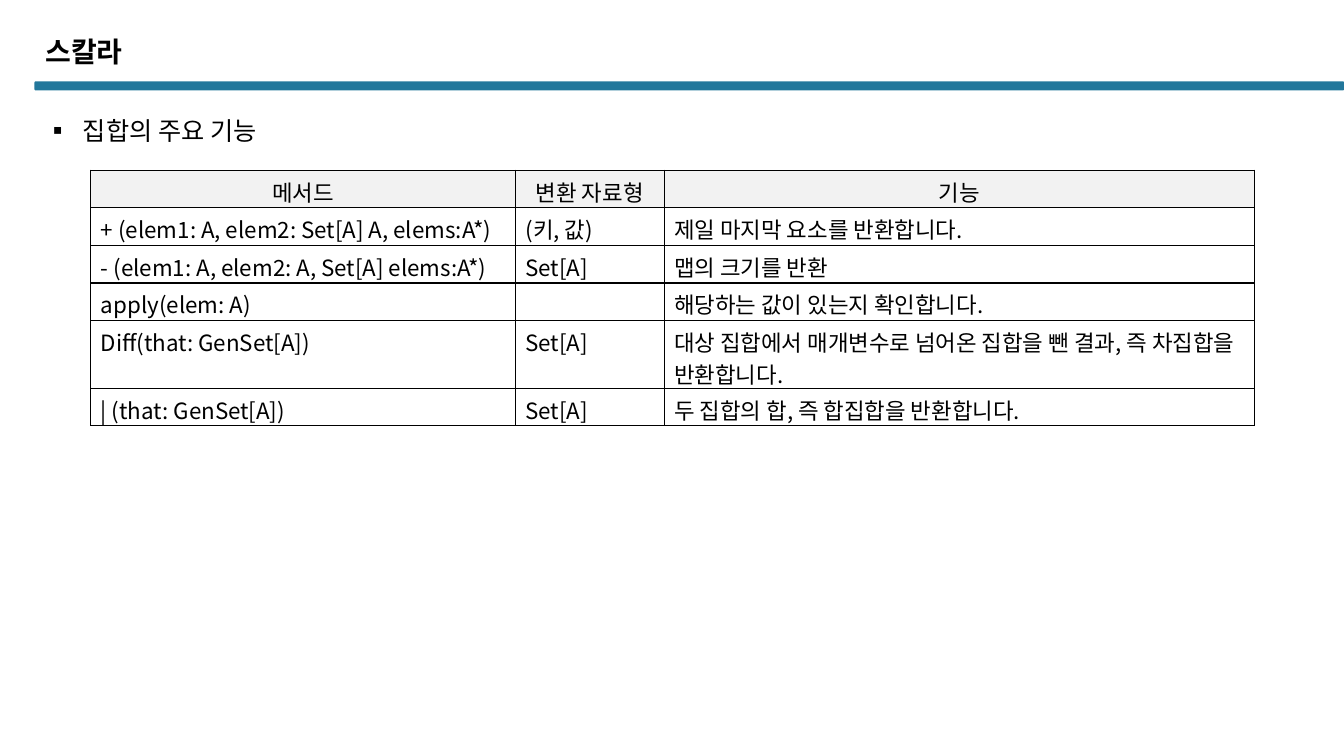
from dataclasses import dataclass

from lxml import etree
from pptx import Presentation
from pptx.dml.color import RGBColor
from pptx.enum.shapes import MSO_SHAPE
from pptx.enum.text import MSO_ANCHOR, PP_ALIGN
from pptx.oxml.ns import qn
from pptx.util import Cm, Pt

ROUNDED = MSO_SHAPE.ROUNDED_RECTANGLE
LEFT, CENTER = PP_ALIGN.LEFT, PP_ALIGN.CENTER
TOP = MSO_ANCHOR.TOP


@dataclass(frozen=True)
class Theme:
    """Colours, font and type sizes of the deck."""
    font: str = "Noto Sans CJK KR"
    ink: str = "000000"
    accent: str = "22779B"
    header: str = "F2F2F2"
    title: int = 20
    body: int = 18
    cell: int = 16


THEME = Theme()
SLIDE_WIDTH, SLIDE_HEIGHT = 33.87, 19.05
COLUMN_WIDTHS = (10.7, 3.75, 14.88)
ROW_HEIGHTS = (0.94, 0.95, 0.95, 0.95, 1.7, 0.95)
METHODS = (
    ("메서드", "변환 자료형", "기능"),
    ("+ (elem1: A, elem2: Set[A] A, elems:A*)", "(키, 값)", "제일 마지막 요소를 반환합니다."),
    ("- (elem1: A, elem2: A, Set[A] elems:A*)", "Set[A]", "맵의 크기를 반환"),
    ("apply(elem: A)", "", "해당하는 값이 있는지 확인합니다."),
    ("Diff(that: GenSet[A])", "Set[A]",
     "대상 집합에서 매개변수로 넘어온 집합을 뺀 결과, 즉 차집합을 반환합니다."),
    ("| (that: GenSet[A])", "Set[A]", "두 집합의 합, 즉 합집합을 반환합니다."),
)


def style_paragraph(para, size, bold=False, align=LEFT):
    """Set the alignment and the Latin and Korean font of a paragraph."""
    para.alignment = align
    font = para.font
    font.size = Pt(size)
    font.bold = bold
    font.color.rgb = RGBColor.from_string(THEME.ink)
    font.name = THEME.font
    defaults = para._p.pPr.find(qn("a:defRPr"))
    etree.SubElement(defaults, qn("a:ea"), typeface=THEME.font)


def add_heading(page, left, top, width, height, text):
    """Place the title and the accent bar under it."""
    title = page.shapes.title
    title.left, title.top = Cm(left), Cm(top)
    title.width, title.height = Cm(width), Cm(height)
    frame = title.text_frame
    frame.text = text
    frame.vertical_anchor = TOP
    para = frame.paragraphs[0]
    para.line_spacing = 0.9
    style_paragraph(para, THEME.title, bold=True)

    bar_left = left - 0.02
    bar = page.shapes.add_shape(ROUNDED, Cm(bar_left), Cm(top + height + 0.02),
                                Cm(SLIDE_WIDTH - bar_left), Cm(0.23))
    bar.adjustments[0] = 0.13
    bar.shadow.inherit = False
    bar.fill.solid()
    bar.fill.fore_color.rgb = RGBColor.from_string(THEME.accent)
    bar.line.fill.background()


def add_bullet(page, left, top, width, height, text):
    """Place a line of text with a square bullet."""
    box = page.shapes.add_textbox(Cm(left), Cm(top), Cm(width), Cm(height))
    frame = box.text_frame
    frame.word_wrap = True
    frame.vertical_anchor = TOP
    frame.text = text
    para = frame.paragraphs[0]
    properties = para._p.get_or_add_pPr()
    indent = Cm(0.95)
    properties.set("marL", str(indent))
    properties.set("indent", str(-indent))
    etree.SubElement(properties, qn("a:buFont"), typeface=THEME.font)
    etree.SubElement(properties, qn("a:buChar"), char="▪")
    style_paragraph(para, THEME.body)


def add_borders(cell):
    """Draw a thin line on all four sides of a cell."""
    properties = cell._tc.get_or_add_tcPr()
    for position, side in enumerate(("lnL", "lnR", "lnT", "lnB")):
        line = etree.Element(qn(f"a:{side}"), w=str(Pt(1)))
        fill = etree.SubElement(line, qn("a:solidFill"))
        etree.SubElement(fill, qn("a:srgbClr"), val=THEME.ink)
        properties.insert(position, line)


def add_method_table(page, left, top):
    """Place the table of set methods."""
    table = page.shapes.add_table(len(METHODS), len(COLUMN_WIDTHS), Cm(left), Cm(top),
                                  Cm(sum(COLUMN_WIDTHS)), Cm(sum(ROW_HEIGHTS))).table
    table.first_row = table.horz_banding = False
    for column, width in zip(table.columns, COLUMN_WIDTHS):
        column.width = Cm(width)
    for index, (row, height, values) in enumerate(zip(table.rows, ROW_HEIGHTS, METHODS)):
        row.height = Cm(height)
        for cell, value in zip(row.cells, values):
            cell.margin_bottom = 0
            if value:
                cell.text = value
            style_paragraph(cell.text_frame.paragraphs[0], THEME.cell,
                            align=LEFT if index else CENTER)
            if index:
                cell.fill.background()
            else:
                cell.fill.solid()
                cell.fill.fore_color.rgb = RGBColor.from_string(THEME.header)
            add_borders(cell)


def main():
    """Build and save the deck."""
    deck = Presentation()
    deck.slide_width, deck.slide_height = Cm(SLIDE_WIDTH), Cm(SLIDE_HEIGHT)
    page = deck.slides.add_slide(deck.slide_layouts.get_by_name("Title Only"))
    add_heading(page, 0.89, 0.84, 20.07, 1.19, "스칼라")
    add_bullet(page, 0.89, 2.77, 31.57, 2.57, "집합의 주요 기능")
    add_method_table(page, 2.29, 4.29)
    deck.save("out.pptx")


if __name__ == "__main__":
    main()
